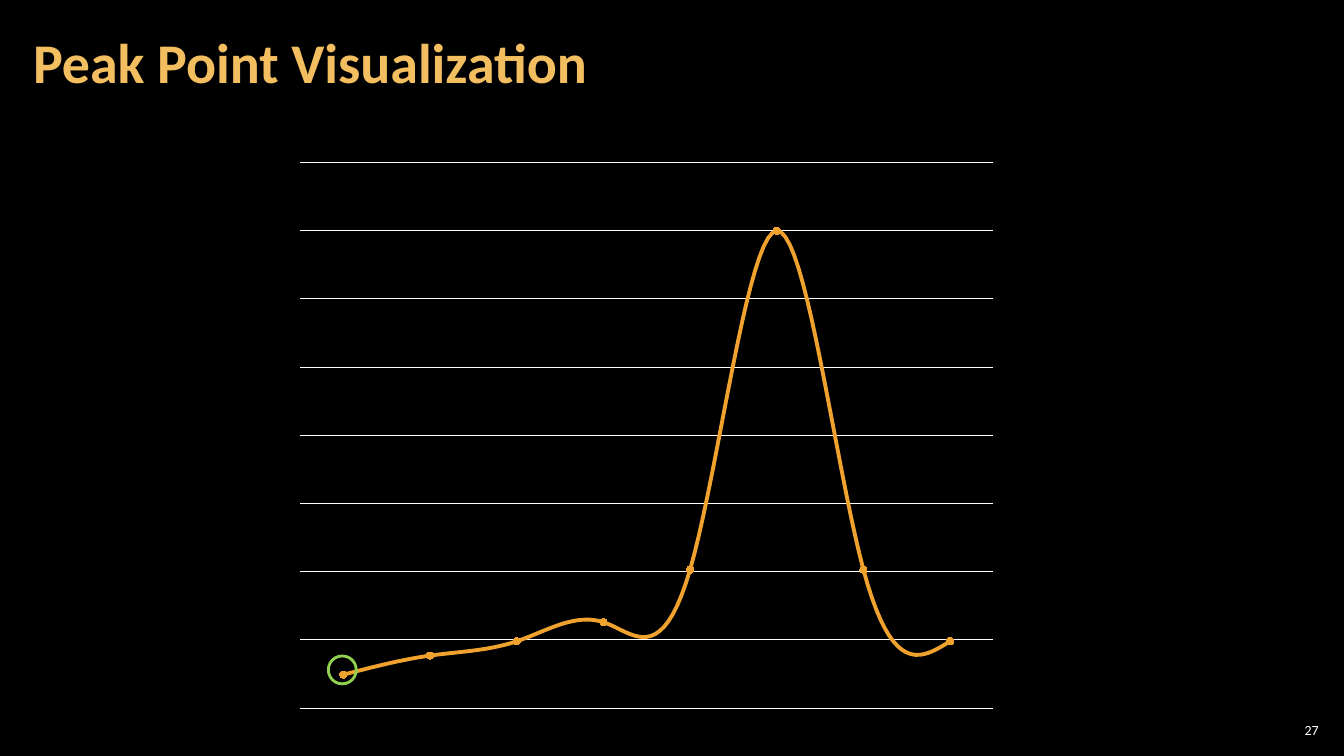
from lxml.etree import SubElement
from pptx import Presentation
from pptx.chart.data import CategoryChartData
from pptx.dml.color import RGBColor
from pptx.enum.chart import XL_CHART_TYPE, XL_MARKER_STYLE
from pptx.enum.shapes import MSO_SHAPE
from pptx.enum.text import MSO_ANCHOR, PP_ALIGN
from pptx.oxml.ns import qn
from pptx.util import Pt

# Content: text, box, size, colour, bold, alignment, side and top insets, line spacing
FONT = "Calibri"
TEXTS = [
    ("Peak Point Visualization", (15, 3, 754, 87), 40, "F3BE60", True, PP_ALIGN.LEFT, (8.64, 3), 0.9),
    ("27", (911, 514, 34, 15), 10, "FFFFFF", False, PP_ALIGN.RIGHT, (3, 3), 1.0),
]
VALUES = [7, 11, 14, 18, 29, 100, 29, 14]
CHART_BOX = (204, 108, 516, 406)
GRID_STEP, GRID_COUNT = 14.29, 8
PLOT = {"x": 0.02, "y": 0.02, "w": 0.96, "h": 0.96}
RING_BOX = (234, 468, 21, 21)
LINE, GREEN, WHITE = "F0A22E", "92D050", "FFFFFF"


def paint(fill, color):
    fill.solid()
    fill.fore_color.rgb = RGBColor.from_string(color)


def box(values):
    return [Pt(v) for v in values]


prs = Presentation()
prs.slide_width, prs.slide_height = Pt(960), Pt(540)
s = prs.slides.add_slide(prs.slide_layouts[6])
paint(s.background.fill, "000000")

# Title and slide number
for text, place, size, color, bold, align, (side, top), spacing in TEXTS:
    tf = s.shapes.add_textbox(*box(place)).text_frame
    tf.word_wrap = True
    tf.vertical_anchor = MSO_ANCHOR.MIDDLE
    tf.margin_left = tf.margin_right = Pt(side)
    tf.margin_top = tf.margin_bottom = Pt(top)
    p = tf.paragraphs[0]
    p.text = text
    p.alignment = align
    p.line_spacing = spacing
    p.font.name, p.font.size, p.font.bold = FONT, Pt(size), bold
    paint(p.font.fill, color)

# Line chart
data = CategoryChartData()
data.categories = [str(i + 1) for i in range(len(VALUES))]
data.add_series("Series 1", VALUES)
chart = s.shapes.add_chart(XL_CHART_TYPE.LINE_MARKERS, *box(CHART_BOX), data).chart
chart.has_legend = chart.has_title = False
chart.font.name, chart.font.size = FONT, Pt(10)
paint(chart.font.fill, WHITE)

axis = chart.value_axis
axis.minimum_scale, axis.maximum_scale = 0, GRID_STEP * GRID_COUNT
axis.major_unit = GRID_STEP
axis.has_major_gridlines = True
grid = axis.major_gridlines.format.line
grid.width = Pt(0.75)
paint(grid.fill, WHITE)
axis.visible = chart.category_axis.visible = False

plot = chart.plots[0]
plot.vary_by_categories = False
series = plot.series[0]
series.smooth = True
series.format.line.width = Pt(2.75)
paint(series.format.line.fill, LINE)
series.marker.style, series.marker.size = XL_MARKER_STYLE.CIRCLE, 5
paint(series.marker.format.fill, LINE)
series.marker.format.line.fill.background()

# Fixed inner plot area
area = chart.element.find(".//" + qn("c:plotArea"))
layout = area.find(qn("c:layout"))
if layout is None:
    layout = SubElement(area, qn("c:layout"))
    area.insert(0, layout)
manual = SubElement(layout, qn("c:manualLayout"))
settings = {"layoutTarget": "inner", "xMode": "edge", "yMode": "edge", **PLOT}
for name, value in settings.items():
    SubElement(manual, qn("c:" + name)).set("val", str(value))

# Ring round the starting point
ring = s.shapes.add_shape(MSO_SHAPE.DONUT, *box(RING_BOX))
ring.adjustments[0] = 0.05
ring.shadow.inherit = False
paint(ring.fill, GREEN)
paint(ring.line.fill, GREEN)
ring.line.width = Pt(1)

prs.save("out.pptx")
